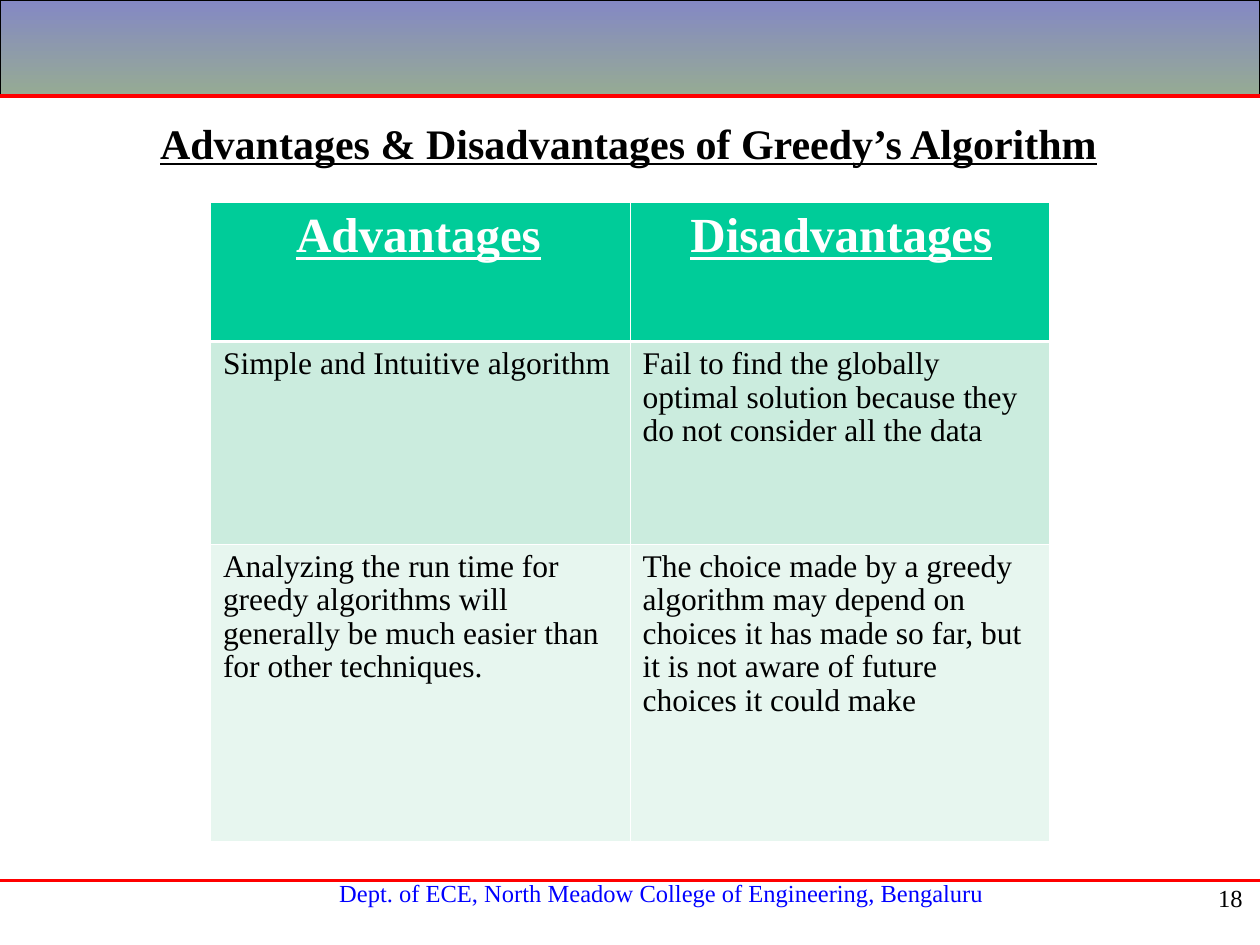
"""Build the slide on advantages and disadvantages of greedy algorithms."""
from lxml.etree import SubElement
from pptx import Presentation
from pptx.dml.color import RGBColor as RGB
from pptx.enum.shapes import MSO_CONNECTOR as CONN, MSO_SHAPE as SHAPE
from pptx.enum.text import MSO_ANCHOR as ANCHOR, MSO_AUTO_SIZE as AUTO, PP_ALIGN as ALIGN
from pptx.oxml.ns import qn
from pptx.util import Inches, Pt

COLORS = {
    "black": "000000", "white": "FFFFFF", "red": "FF0000", "blue": "0000FF",
    "band_top": "8488C4", "band_bottom": "96AB94",
    "header": "00CC99", "row_dark": "CBECDE", "row_light": "E7F6EF",
}
ROWS = [
    ("Advantages", "Disadvantages"),
    ("Simple and Intuitive algorithm",
     "Fail to find the globally optimal solution because they do not consider all the data"),
    ("Analyzing the run time for greedy algorithms will generally be much easier "
     "than for other techniques.",
     "The choice made by a greedy algorithm may depend on choices it has made so far, "
     "but it is not aware of future choices it could make"),
]


def rgb(name):
    return RGB.from_string(COLORS[name])


def write(tf, text, size=18, color="black", bold=False, underline=False,
          align=ALIGN.LEFT, spacing=1.0):
    p = tf.paragraphs[0]
    p.alignment, p.line_spacing = align, spacing
    r = p.add_run()
    r.text = text
    r.font.name, r.font.size = "Times New Roman", Pt(size)
    r.font.bold, r.font.underline = bold, underline
    r.font.color.rgb = rgb(color)


class Page:
    def __init__(self, slide, font_size=14):
        self.slide, self.shapes, self.font_size = slide, slide.shapes, font_size

    def title(self, text, x, y, w, h):
        sp = self.shapes.title
        sp.left, sp.top, sp.width, sp.height = map(Inches, (x, y, w, h))
        tf = sp.text_frame
        tf.word_wrap, tf.auto_size, tf.vertical_anchor = False, AUTO.NONE, ANCHOR.TOP
        write(tf, text, size=24, bold=True, underline=True)

    def band(self, x, y, w, h):
        sp = self.shapes.add_shape(SHAPE.RECTANGLE, *map(Inches, (x, y, w, h)))
        sp.shadow.inherit = False
        sp.fill.gradient()
        sp.fill.gradient_angle = 270
        for stop, name in zip(sp.fill.gradient_stops, ("band_top", "band_bottom")):
            stop.color.rgb = rgb(name)
        sp.line.color.rgb, sp.line.width = rgb("black"), Pt(0.75)

    def rule(self, y, width):
        line = self.shapes.add_connector(CONN.STRAIGHT, 0, Inches(y), Inches(10), Inches(y))
        line.line.color.rgb, line.line.width = rgb("red"), Pt(width)
        SubElement(line._element.spPr, qn("a:effectLst"))

    def text(self, text, x, y, w, h, inset=0.1, **fmt):
        tf = self.shapes.add_textbox(*map(Inches, (x, y, w, h))).text_frame
        tf.word_wrap, tf.margin_left = True, Inches(inset)
        write(tf, text, size=self.font_size, **fmt)

    def border(self, cell, **widths):
        tc_pr = cell._tc.get_or_add_tcPr()
        for i, side in enumerate("LRTB"):
            ln = SubElement(tc_pr, qn(f"a:ln{side}"), w=str(Pt(widths.get(side, 0.45))))
            fill = SubElement(ln, qn("a:solidFill"))
            SubElement(fill, qn("a:srgbClr"), val=COLORS["white"])
            tc_pr.insert(i, ln)

    def table(self, rows, x, y, col_width, heights, fills, header_insets):
        cols = len(rows[0])
        table = self.shapes.add_table(
            len(rows), cols, Inches(x), Inches(y),
            Inches(col_width * cols), Inches(sum(heights))).table
        for col in table.columns:
            col.width = Inches(col_width)
        for i, (texts, height, fill) in enumerate(zip(rows, heights, fills)):
            table.rows[i].height = Inches(height)
            for j, text in enumerate(texts):
                cell = table.cell(i, j)
                cell.fill.solid()
                cell.fill.fore_color.rgb = rgb(fill)
                if i == 0:
                    cell.margin_left = Inches(header_insets[j])
                    write(cell.text_frame, text, size=28, color="white",
                          bold=True, underline=True)
                    self.border(cell, B=1.47)
                else:
                    write(cell.text_frame, text, spacing=0.96)
                    self.border(cell, T=1.47 if i == 1 else 0.45)


def main():
    prs = Presentation()
    prs.slide_width, prs.slide_height = Inches(10), Inches(7.5)
    page = Page(prs.slides.add_slide(prs.slide_layouts[5]))
    page.band(0, 0, 10, 0.75)
    page.rule(0.76, 2.25)
    page.text("Dept. of ECE, North Meadow College of Engineering, Bengaluru",
              1.67, 6.92, 7.08, 0.34, inset=0.18, color="blue", align=ALIGN.CENTER)
    page.rule(6.99, 1.5)
    page.text("18", 7.88, 6.96, 2.08, 0.5, align=ALIGN.RIGHT)
    page.table(ROWS, 1.67, 1.61, 3.33, (1.1, 1.61, 2.36),
               ("header", "row_dark", "row_light"), (0.68, 0.48))
    page.title("Advantages & Disadvantages of Greedy’s Algorithm", 1.17, 0.88, 7.67, 0.5)
    prs.save("out.pptx")


if __name__ == "__main__":
    main()
